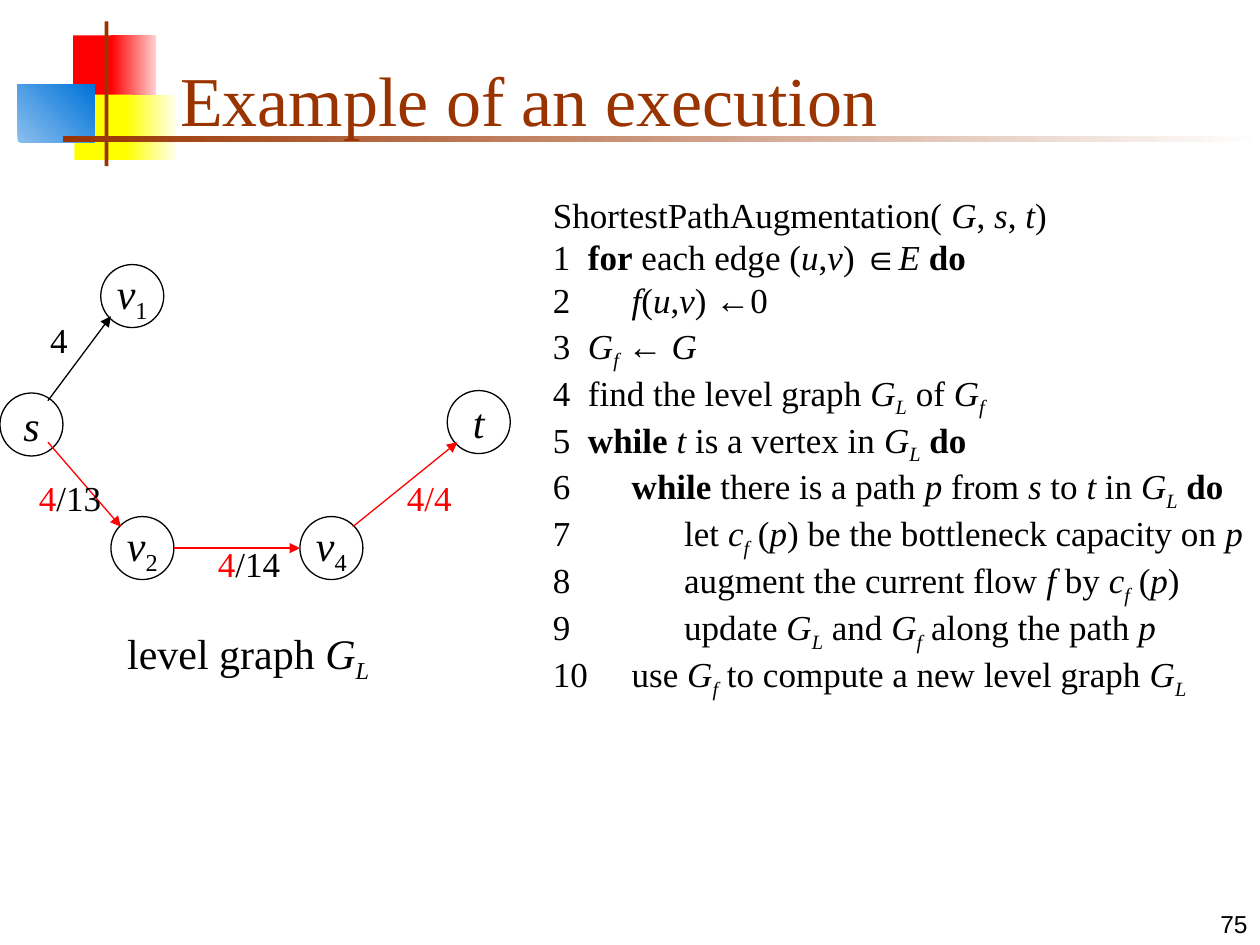
from dataclasses import dataclass

from lxml.etree import SubElement
from pptx import Presentation
from pptx.dml.color import RGBColor
from pptx.enum.shapes import MSO_CONNECTOR as Connector, MSO_SHAPE as Shape
from pptx.enum.text import MSO_ANCHOR as Anchor, MSO_AUTO_SIZE as AutoSize, PP_ALIGN as Align
from pptx.oxml.ns import qn
from pptx.util import Pt


@dataclass(frozen=True)
class Theme:
    black: str = "000000"
    red: str = "FF0000"
    pink: str = "FFD1D1"
    yellow: str = "FFFF00"
    cream: str = "FFFFF0"
    blue: str = "0073D9"
    sky: str = "8BBFEE"
    brown: str = "993300"
    white: str = "FFFFFF"
    serif: str = "Times New Roman"
    sans: str = "Arial"
    title: int = 40
    node: int = 24
    body: int = 20
    footer: int = 14
    line: float = 0.75


THEME = Theme()
NODE_SIZE = 36
CODE_DEPTHS = (0, 20, 45, 75)

# Left, top, width, height, colours from start to end, gradient angle
DECORATION = [
    (41.8, 20.2, 25.2, 37.4, (THEME.red,), 0),
    (63.4, 20.2, 25.9, 37.4, (THEME.red, THEME.pink), 0),
    (42.5, 54, 33.1, 37.4, (THEME.yellow,), 0),
    (72, 54, 28.8, 37.4, (THEME.yellow, THEME.cream), 0),
    (10.1, 48.2, 43.9, 33.1, (THEME.sky, THEME.blue), 45),
    (59.8, 12.2, 2.2, 82.8, (THEME.brown,), 0),
    (36, 77.8, 684, 3.6, (THEME.brown, THEME.white), 0),
]

NODES = [
    ("~s~", 0, 224.6),
    ("~v~_1_", 57.6, 151.2),
    ("~v~_2_", 63.4, 295.2),
    ("~v~_4_", 171.4, 295.2),
    ("~t~", 255.6, 223.2),
]

EDGES = [
    ((27.4, 229), (63.4, 180.7), THEME.black),
    ((27.4, 252.7), (69.1, 301), THEME.red),
    ((99.4, 313.2), (171.4, 313.2), THEME.red),
    ((201.6, 301), (261.4, 252.7), THEME.red),
]

EDGE_LABELS = [
    ("4", 21.6, 178.6, 38.2),
    ("^4^/13", 15.1, 268.6, 52),
    ("^4/4^", 225.4, 268.6, 42),
    ("^4^/14", 117.4, 306.7, 52),
]

# Depth, line number, statement
CODE = [
    (0, "", "ShortestPathAugmentation( ~G~, ~s~, ~t~)"),
    (1, "1", "*for* each edge (~u~,~v~) ∈~E~ *do*"),
    (2, "2", "~f~(~u~,~v~) ←0"),
    (1, "3", "~G_f_~ ← ~G~"),
    (1, "4", "find the level graph ~G_L_~ of ~G_f_~"),
    (1, "5", "*while* ~t~ is a vertex in ~G_L_~ *do*"),
    (2, "6", "*while* there is a path ~p~ from ~s~ to ~t~ in ~G_L_~ *do*"),
    (3, "7", "let ~c_f_~ (~p~) be the bottleneck capacity on ~p~"),
    (3, "8", "augment the current flow ~f~ by ~c_f_~ (~p~)"),
    (3, "9", "update ~G_L_~ and ~G_f_~ along the path ~p~"),
    (2, "10", "use ~G_f_~ to compute a new level graph ~G_L_~"),
]


def add_run(paragraph, text, size, font=THEME.serif, color=THEME.black):
    run = paragraph.add_run()
    run.text = text
    run.font.name = font
    run.font.size = Pt(size)
    run.font.color.rgb = RGBColor.from_string(color)
    return run


def add_marked_runs(paragraph, marked, size):
    """Add runs, where ~ toggles italic, * bold, _ subscript and ^ red."""
    active, text = set(), ""
    for character in marked + "~":
        if character not in "~*_^":
            text += character
            continue
        if text:
            run = add_run(paragraph, text, size,
                          color=THEME.red if "^" in active else THEME.black)
            run.font.italic = "~" in active
            run.font.bold = "*" in active
            if "_" in active:
                run.font._element.set("baseline", "-25000")
            text = ""
        active ^= {character}


def add_text_box(slide, left, top, width, height, wrap=False):
    frame = slide.shapes.add_textbox(Pt(left), Pt(top), Pt(width), Pt(height)).text_frame
    frame.word_wrap = wrap
    return frame


def add_block(slide, left, top, width, height, colors, angle):
    block = slide.shapes.add_shape(Shape.RECTANGLE, Pt(left), Pt(top), Pt(width), Pt(height))
    block.shadow.inherit = False
    block.line.fill.background()
    if len(colors) == 1:
        block.fill.solid()
        block.fill.fore_color.rgb = RGBColor.from_string(colors[0])
        return
    block.fill.gradient()
    block.fill.gradient_angle = angle
    for stop, color in zip(block.fill.gradient_stops, colors):
        stop.color.rgb = RGBColor.from_string(color)


def add_title(slide, text):
    """Fill the title placeholder and bring it in front of the decoration."""
    title = slide.shapes.title
    title.left, title.top, title.width, title.height = Pt(95.8), Pt(18), Pt(613.4), Pt(66.2)
    title.element.getparent().append(title.element)
    frame = title.text_frame
    frame.vertical_anchor = Anchor.BOTTOM
    frame.auto_size = AutoSize.NONE
    paragraph = frame.paragraphs[0]
    paragraph.alignment = Align.LEFT
    add_run(paragraph, text, THEME.title, color=THEME.brown)


def add_slide_number(slide, text):
    frame = add_text_box(slide, 570.2, 504, 149.8, 36, wrap=True)
    frame.vertical_anchor = Anchor.BOTTOM
    frame.paragraphs[0].alignment = Align.RIGHT
    add_run(frame.paragraphs[0], text, THEME.footer, font=THEME.sans)


def add_node(slide, name, left, top):
    node = slide.shapes.add_shape(Shape.OVAL, Pt(left), Pt(top), Pt(NODE_SIZE), Pt(NODE_SIZE))
    node.shadow.inherit = False
    node.fill.background()
    node.line.color.rgb = RGBColor.from_string(THEME.black)
    node.line.width = Pt(THEME.line)
    frame = node.text_frame
    frame.word_wrap = False
    frame.vertical_anchor = Anchor.MIDDLE
    frame.paragraphs[0].alignment = Align.CENTER
    add_marked_runs(frame.paragraphs[0], name, THEME.node)


def add_edge(slide, start, end, color):
    edge = slide.shapes.add_connector(Connector.STRAIGHT, *map(Pt, start + end))
    edge.line.color.rgb = RGBColor.from_string(color)
    edge.line.width = Pt(THEME.line)
    SubElement(edge.line._get_or_add_ln(), qn("a:tailEnd"), type="triangle")
    SubElement(edge.element.spPr, qn("a:effectLst"))


def add_label(slide, marked, left, top, width, height=31.7, size=THEME.body, align=Align.LEFT):
    frame = add_text_box(slide, left, top, width, height)
    frame.auto_size = AutoSize.SHAPE_TO_FIT_TEXT
    frame.paragraphs[0].alignment = align
    add_marked_runs(frame.paragraphs[0], marked, size)


def add_code(slide, lines):
    """Write numbered lines, each statement hanging at the depth of its block."""
    frame = add_text_box(slide, 308.9, 111.6, 411.1, 272.2, wrap=True)
    for index, (depth, number, statement) in enumerate(lines):
        paragraph = frame.add_paragraph() if index else frame.paragraphs[0]
        paragraph.line_spacing = 0.8
        paragraph.space_before = Pt(5 if index else 0)
        indent = Pt(CODE_DEPTHS[depth])
        properties = paragraph._p.get_or_add_pPr()
        properties.set("marL", str(indent))
        properties.set("indent", str(-indent))
        add_marked_runs(paragraph, f"{number}\t{statement}" if number else statement, THEME.body)


def main():
    presentation = Presentation()
    presentation.slide_width, presentation.slide_height = Pt(720), Pt(540)
    slide = presentation.slides.add_slide(presentation.slide_layouts.get_by_name("Title Only"))
    for block in DECORATION:
        add_block(slide, *block)
    add_slide_number(slide, "75")
    add_title(slide, "Example of an execution")
    for node in NODES:
        add_node(slide, *node)
    for edge in EDGES:
        add_edge(slide, *edge)
    for label in EDGE_LABELS:
        add_label(slide, *label)
    add_code(slide, CODE)
    add_label(slide, "level graph ~G_L_~", 65.5, 355, 152.6, 40.3, THEME.node, Align.CENTER)
    presentation.save("out.pptx")


if __name__ == "__main__":
    main()
